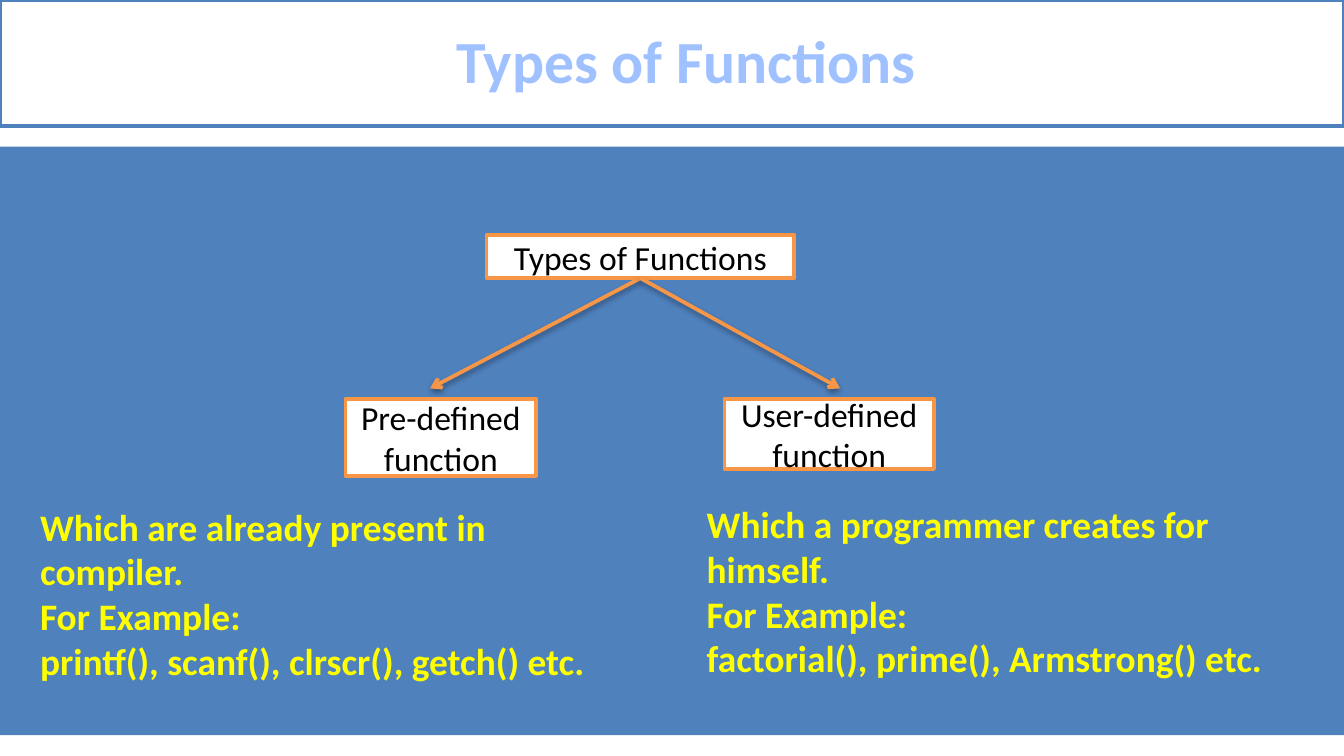
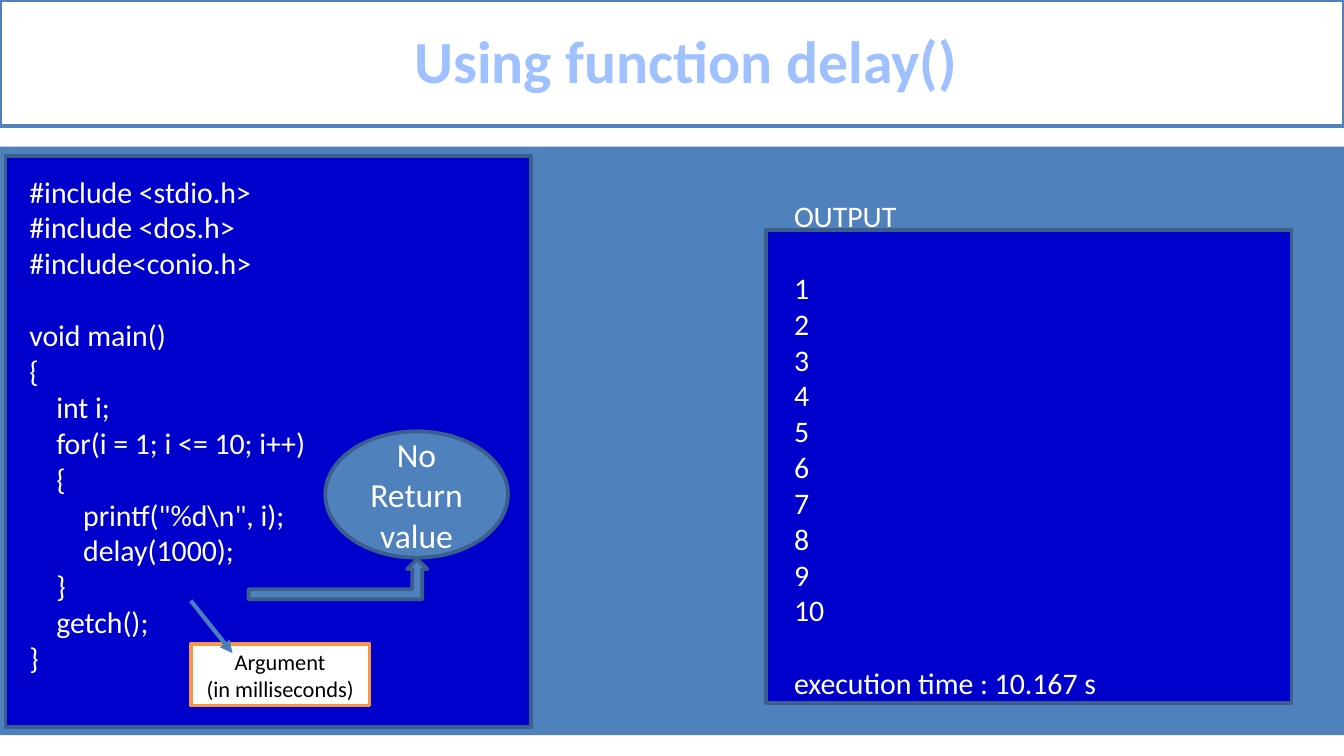
"""Two slides on C functions: the types of functions, and using delay()."""
from lxml import etree
from pptx import Presentation
from pptx.dml.color import RGBColor
from pptx.enum.shapes import MSO_CONNECTOR, MSO_SHAPE
from pptx.enum.text import MSO_ANCHOR, MSO_AUTO_SIZE, PP_ALIGN
from pptx.oxml.ns import qn
from pptx.util import Pt

RECT, OVAL, BENT = MSO_SHAPE.RECTANGLE, MSO_SHAPE.OVAL, MSO_SHAPE.BENT_UP_ARROW
STRAIGHT = MSO_CONNECTOR.STRAIGHT
LEFT, CENTER = PP_ALIGN.LEFT, PP_ALIGN.CENTER
MIDDLE, NO_FIT = MSO_ANCHOR.MIDDLE, MSO_AUTO_SIZE.NONE

PX = 9144
WIDTH = 1000
FONT = "Calibri"
BLANK_LINE = 19.5
HANG = 38
COLORS = {
    "white": "FFFFFF", "black": "000000", "blue": "4F81BD", "edge": "3A5F8C",
    "arrow": "4B7EBC", "title": "A0C1FF", "orange": "F79646",
    "yellow": "FFFF00", "screen": "0000CC",
}

TYPES_TITLE = "Types of Functions"
ROOT = ("Types of Functions", (362, 175, 229, 32))
KINDS = [
    {
        "name": "Pre-defined function", "box": (257, 297, 142, 57),
        "tip": (320, 289), "note_box": (20, 370, 447, 147),
        "note": ["Which are already present in", "compiler.", "For Example:",
                 "printf(), scanf(), clrscr(), getch() etc."],
    },
    {
        "name": "User-defined function", "box": (539, 297, 156, 52),
        "tip": (625, 289), "note_box": (516, 368, 447, 145),
        "note": ["Which a programmer creates for himself.", "For Example:",
                 "factorial(), prime(), Armstrong() etc."],
    },
]

DELAY_TITLE = "Using function delay()"
CODE = r"""#include <stdio.h>
#include <dos.h>
#include<conio.h>

void main()
{
    int i;
    for(i = 1; i <= 10; i++)
    {
        printf("%d\n", i);
        delay(1000);
    }
    getch();
}""".split("\n")
OUTPUT = ["OUTPUT", "", *map(str, range(1, 11)), "", "execution time : 10.167 s"]
SCREENS = [
    ((4, 116, 391, 425), (12, 124, 352, 387), CODE),
    ((570, 171, 391, 352), (581, 142, 352, 387), OUTPUT),
]
ARGUMENT = (["Argument", "(in milliseconds)"], (142, 479, 133, 46))
ARGUMENT_ARROW = ((142, 447), (173, 486))
RESULT = (["No", "Return", "value"], (242, 321, 136, 94))
RESULT_ARROW = (185, 416, 133, 30)


def rgb(name):
    return RGBColor.from_string(COLORS[name])


def emu(lengths):
    return [n * PX for n in lengths]


def set_indent(p, left, first):
    pPr = p._p.get_or_add_pPr()
    pPr.set("marL", str(left * PX))
    pPr.set("indent", str(first * PX))


def write(tf, lines, size, color, bold=False, align=LEFT, hang=0):
    """Write lines as paragraphs; an empty line becomes space before the next."""
    tf.word_wrap = True
    p, gap = tf.paragraphs[0], 0
    for i, line in enumerate(lines):
        if not line:
            gap = BLANK_LINE
            continue
        if i:
            p = tf.add_paragraph()
        set_indent(p, hang, -hang)
        p.alignment = align
        p.space_before, gap = Pt(gap), 0
        r = p.add_run()
        r.text = line
        r.font.name, r.font.size, r.font.bold = FONT, Pt(size), bold
        r.font.color.rgb = rgb(color)


def paint(sp, fill, line=None):
    sp.shadow.inherit = False
    sp.fill.solid()
    sp.fill.fore_color.rgb = rgb(fill)
    if line:
        sp.line.color.rgb = rgb(line)
        sp.line.width = Pt(2)
    else:
        sp.line.fill.background()


def add_box(s, kind, box, fill, line=None, lines=(), size=18, color="black"):
    sp = s.shapes.add_shape(kind, *emu(box))
    paint(sp, fill, line)
    if lines:
        sp.text_frame.vertical_anchor = MIDDLE
        write(sp.text_frame, lines, size, color, align=CENTER)
    return sp


def add_text(s, box, lines, size, color, **style):
    write(s.shapes.add_textbox(*emu(box)).text_frame, lines, size, color, **style)


def add_arrow(s, start, end, color, width, head, shadow=False):
    cx = s.shapes.add_connector(STRAIGHT, *emu(start + end))
    cx.line.color.rgb = rgb(color)
    cx.line.width = Pt(width)
    etree.SubElement(cx.line._get_or_add_ln(), qn("a:tailEnd"), type=head)
    effects = etree.SubElement(cx._element.spPr, qn("a:effectLst"))
    if shadow:
        outer = etree.SubElement(effects, qn("a:outerShdw"), blurRad="40000",
                                 dist="20000", dir="5400000", rotWithShape="0")
        black = etree.SubElement(outer, qn("a:srgbClr"), val=COLORS["black"])
        etree.SubElement(black, qn("a:alpha"), val="38000")
    return cx


def add_slide(prs, title):
    """Add a slide with the title band and the blue panel."""
    s = prs.slides.add_slide(prs.slide_layouts[5])
    add_box(s, RECT, (0, 109, WIDTH, 438), "blue")
    sp = s.shapes.title
    sp.left, sp.top, sp.width, sp.height = emu((0, 0, WIDTH, 94))
    paint(sp, "white", "blue")
    tf = sp.text_frame
    tf.auto_size, tf.vertical_anchor = NO_FIT, MIDDLE
    write(tf, [title], 32, "title", bold=True, align=CENTER)
    set_indent(tf.paragraphs[0], 21, 0)
    tf.paragraphs[0].line_spacing = 0.96
    return s


def build_types(prs):
    s = add_slide(prs, TYPES_TITLE)
    name, box = ROOT
    root = add_box(s, RECT, box, "white", "orange", [name])
    x, y, w, h = box
    for kind in KINDS:
        cx = add_arrow(s, (x + w // 2, y + h), kind["tip"], "orange", 2, "arrow", True)
        cx.begin_connect(root, 2)
        add_box(s, RECT, kind["box"], "white", "orange", [kind["name"]])
        add_text(s, kind["note_box"], kind["note"], 20, "yellow", bold=True)


def build_delay(prs):
    s = add_slide(prs, DELAY_TITLE)
    for screen, text_box, lines in SCREENS:
        add_box(s, RECT, screen, "screen", "edge")
        add_text(s, text_box, lines, 16, "white", hang=HANG)
    lines, box = ARGUMENT
    add_box(s, RECT, box, "white", "orange", lines, 12)
    add_arrow(s, *ARGUMENT_ARROW, "arrow", 2.25, "triangle")
    lines, box = RESULT
    add_box(s, OVAL, box, "blue", "edge", lines, color="white")
    add_box(s, BENT, RESULT_ARROW, "blue", "edge")


def main():
    prs = Presentation()
    prs.slide_width = WIDTH * PX
    prs.slide_height = prs.slide_width * 9 // 16
    build_types(prs)
    build_delay(prs)
    prs.save("out.pptx")


if __name__ == "__main__":
    main()
